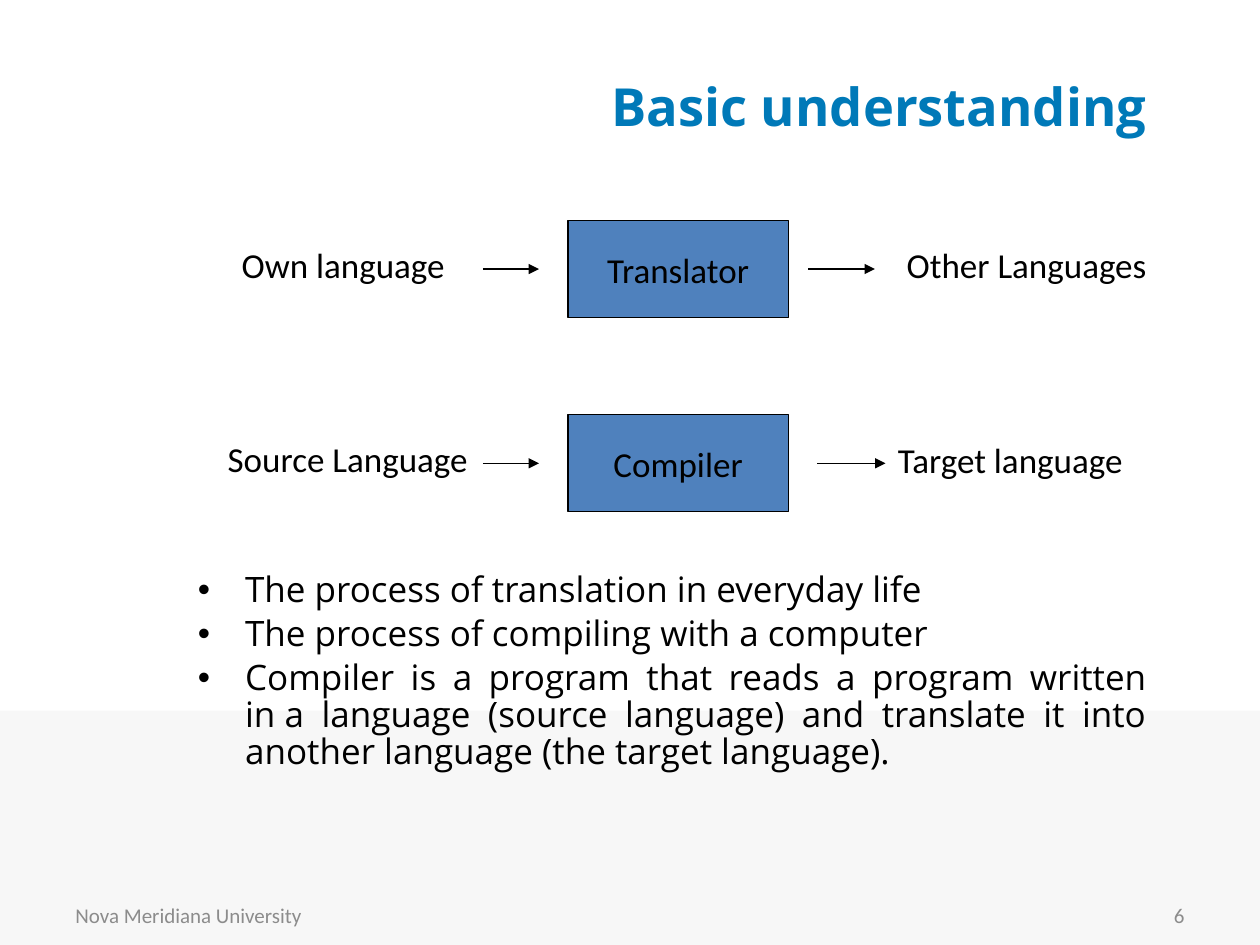
from lxml import etree
from pptx import Presentation
from pptx.dml.color import RGBColor
from pptx.enum import shapes, text
from pptx.oxml import ns
from pptx.util import Pt

BLACK = RGBColor(0x00, 0x00, 0x00)
BLUE = RGBColor(0x4F, 0x81, 0xBD)
TITLE_BLUE = RGBColor(0x00, 0x79, 0xB8)
GREY = RGBColor(0x8C, 0x8C, 0x8C)
PALE = RGBColor(0xF7, 0xF7, 0xF7)
LEFT, CENTER = text.PP_ALIGN.LEFT, text.PP_ALIGN.CENTER
RIGHT, JUSTIFY = text.PP_ALIGN.RIGHT, text.PP_ALIGN.JUSTIFY
TOP, MIDDLE = text.MSO_ANCHOR.TOP, text.MSO_ANCHOR.MIDDLE

TITLE = "Basic understanding"
FOOTER = "Nova Meridiana University"
PAGE = "6"
# input, its left; process; output, its left; start and end of the output arrow
FLOWS = [
    ("Own language", 131, "Translator", "Other Languages", 511, 462, 500),
    ("Source Language", 123, "Compiler", "Target language", 506, 467, 506),
]
BULLETS = [
    "The process of translation in everyday life",
    "The process of compiling with a computer",
    "Compiler is a program that reads a program written in\u00a0a language "
    "(source language) and translate it into another language "
    "(the target language).",
]
FLOW_TOP, FLOW_STEP = 126, 111
BOX_LEFT, BOX_W, BOX_H = 324.5, 126, 55.5
IN_ARROW = (276, 308)


def write(shape, lines, size, color, font="Calibri", align=LEFT, anchor=TOP,
          bold=False):
    tf = shape.text_frame
    tf.word_wrap = True
    tf.vertical_anchor = anchor
    tf.text = "\n".join(lines)
    for p in tf.paragraphs:
        p.alignment = align
        p.font.name, p.font.size, p.font.bold = font, Pt(size), bold
        p.font.color.rgb = color
    return tf


def add_text(s, left, top, width, height, lines, size, color, **style):
    box = s.shapes.add_textbox(Pt(left), Pt(top), Pt(width), Pt(height))
    return write(box, lines, size, color, **style)


def add_rect(s, left, top, width, height, fill):
    rect = s.shapes.add_shape(shapes.MSO_SHAPE.RECTANGLE, Pt(left), Pt(top),
                              Pt(width), Pt(height))
    rect.shadow.inherit = False
    rect.fill.solid()
    rect.fill.fore_color.rgb = fill
    rect.line.fill.background()
    return rect


def add_arrow(s, start, end, y):
    arrow = s.shapes.add_connector(shapes.MSO_CONNECTOR.STRAIGHT,
                                   Pt(start), Pt(y), Pt(end), Pt(y))
    arrow.line.color.rgb = BLACK
    arrow.line.width = Pt(0.75)
    etree.SubElement(arrow.line._get_or_add_ln(), ns.qn("a:tailEnd"), type="triangle")
    etree.SubElement(arrow._element.spPr, ns.qn("a:effectLst"))


def add_flow(s, top, source, source_left, process, target, target_left, start, end):
    """Draw one row: input label, arrow, process box, arrow, output label."""
    middle = top + BOX_H / 2
    add_text(s, source_left, top + 9.4, 155, 31.5, [source], 20, BLACK)
    add_arrow(s, *IN_ARROW, middle)
    box = add_rect(s, BOX_LEFT, top, BOX_W, BOX_H, BLUE)
    box.line.color.rgb = BLACK
    box.line.width = Pt(0.75)
    write(box, [process], 20, BLACK, align=CENTER, anchor=MIDDLE)
    add_arrow(s, start, end, middle)
    add_text(s, target_left, top + 9.8, 178, 31.5, [target], 20, BLACK)


def add_bullets(s):
    tf = add_text(s, 106, 324, 556.5, 159, BULLETS, 20, BLACK,
                  font="Open Sans", align=JUSTIFY)
    for p in tf.paragraphs:
        p.space_before = Pt(4)
        p.line_spacing = 0.88
        pPr = p._p.get_or_add_pPr()
        pPr.set("marL", str(Pt(27)))
        pPr.set("indent", str(-Pt(27)))
        bullet_font = etree.Element(ns.qn("a:buFont"), typeface="Arial")
        bullet = etree.Element(ns.qn("a:buChar"), char="•")
        pPr.find(ns.qn("a:defRPr")).addprevious(bullet_font)
        bullet_font.addnext(bullet)


def main():
    prs = Presentation()
    prs.slide_width, prs.slide_height = Pt(720), Pt(540)
    s = prs.slides.add_slide(prs.slide_layouts[5])
    add_rect(s, 0, 406, 720, 134, PALE)

    title = s.shapes.title
    title.left, title.top, title.width, title.height = Pt(232.5), Pt(38), Pt(430), Pt(45)
    write(title, [TITLE], 30, TITLE_BLUE, font="Open Sans", align=RIGHT,
          anchor=MIDDLE, bold=True)

    for i, flow in enumerate(FLOWS):
        add_flow(s, FLOW_TOP + i * FLOW_STEP, *flow)
    add_bullets(s)

    for left, label, align in [(36, FOOTER, LEFT), (516, PAGE, RIGHT)]:
        add_text(s, left, 508.5, 168, 28.5, [label], 12, GREY, align=align, anchor=MIDDLE)
    prs.save("out.pptx")


if __name__ == "__main__":
    main()
